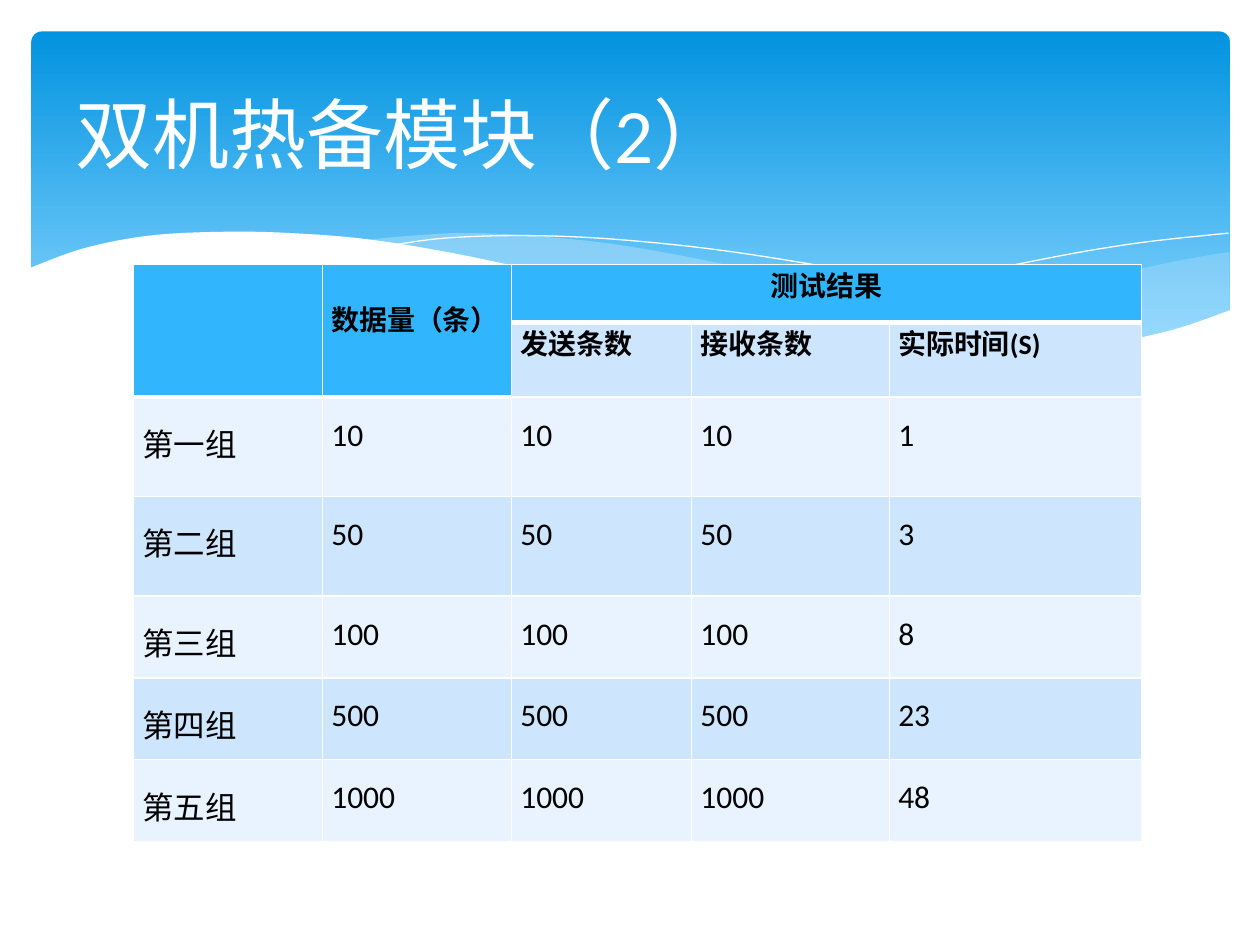
from dataclasses import dataclass
from lxml import etree
from pptx import Presentation, util as u
from pptx.dml.color import RGBColor
from pptx.enum import shapes, text
from pptx.oxml import ns


@dataclass(frozen=True)
class Theme:
    font: str = "Calibri"
    white: str = "FFFFFF"
    black: str = "000000"
    deep: str = "0293E0"
    sky: str = "83D3FE"
    mist: str = "C6E7FC"
    head: str = "31B6FD"
    bands: tuple = ("E8F3FF", "CEE5FE")
    title: int = 44
    label: int = 16
    body: int = 18


def put(obj, **vals):
    for name, val in vals.items():
        setattr(obj, name, val)


def curve(knots, steps=8):
    if len(knots) < 3:
        return list(knots)
    ends = [knots[0], *knots, knots[-1]]
    dots = [knots[0]]
    for a, b, c, d in zip(ends, ends[1:], ends[2:], ends[3:]):
        for i in range(1, steps + 1):
            t = i / steps
            dots.append(tuple(
                q + t / 2 * (r - p + t * (2 * p - 5 * q + 4 * r - s + t * (3 * (q - r) + s - p)))
                for p, q, r, s in zip(a, b, c, d)))
    return dots


class Deck:
    def __init__(self, theme, wide, high):
        self.theme = theme
        self.prs = Presentation()
        put(self.prs, slide_width=u.Inches(wide), slide_height=u.Inches(high))
        self.slide = self.prs.slides.add_slide(self.prs.slide_layouts[6])

    def paint(self, fill, tone):
        fill.solid()
        fill.fore_color.rgb = RGBColor.from_string(tone)

    def panel(self, x, y, w, h, bend):
        box = self.slide.shapes.add_shape(
            shapes.MSO_SHAPE.ROUNDED_RECTANGLE, *map(u.Inches, (x, y, w, h)))
        box.shadow.inherit = False
        box.adjustments[0] = bend
        box.line.fill.background()
        box.fill.gradient()
        box.fill.gradient_angle = 270
        tones = (0, self.theme.deep), (0.9, self.theme.sky)
        for stop, (pos, tone) in zip(box.fill.gradient_stops, tones):
            stop.position = pos
            stop.color.rgb = RGBColor.from_string(tone)

    def trace(self, *sides, close=True):
        dots = [tuple(map(u.Inches, dot)) for side in sides for dot in curve(side)]
        pen = self.slide.shapes.build_freeform(*dots[0], scale=1.0)
        pen.add_line_segments(dots[1:], close=close)
        form = pen.convert_to_shape()
        form.shadow.inherit = False
        return form

    def wave(self, *sides, tone, alpha=100):
        form = self.trace(*sides)
        form.line.fill.background()
        self.paint(form.fill, tone)
        if alpha < 100:
            color = form.element.spPr.find(ns.qn("a:solidFill"))[0]
            etree.SubElement(color, ns.qn("a:alpha"), val=str(alpha * 1000))

    def thread(self, *knots):
        form = self.trace(knots, close=False)
        form.fill.background()
        self.paint(form.line.fill, self.theme.white)
        form.line.width = u.Pt(0)

    def label(self, frame, words, size, tone, bold=False, **form):
        para = frame.paragraphs[0]
        put(para, **form)
        run = para.add_run()
        run.text = words
        put(run.font, name=self.theme.font, size=u.Pt(size), bold=bold)
        run.font.color.rgb = RGBColor.from_string(tone)

    def title(self, words, x, y, w, h):
        frame = self.slide.shapes.add_textbox(*map(u.Inches, (x, y, w, h))).text_frame
        put(frame, word_wrap=True, vertical_anchor=text.MSO_ANCHOR.MIDDLE)
        self.label(frame, words, self.theme.title, self.theme.white)

    def edges(self, cell, **widths):
        props = cell._tc.get_or_add_tcPr()
        for side, width in widths.items():
            line = etree.SubElement(props, ns.qn(f"a:ln{side}"), w=str(u.Pt(width)))
            fill = etree.SubElement(line, ns.qn("a:solidFill"))
            etree.SubElement(fill, ns.qn("a:srgbClr"), val=self.theme.white)

    def table(self, x, y, cols, rows, data, spans):
        size = map(u.Inches, (x, y, sum(cols), sum(rows)))
        grid = self.slide.shapes.add_table(len(rows), len(cols), *size).table
        put(grid, first_row=False, horz_banding=False)
        for col, width in zip(grid.columns, cols):
            col.width = u.Inches(width)
        for row, height in zip(grid.rows, rows):
            row.height = u.Inches(height)
        for first, last in spans:
            grid.cell(*first).merge(grid.cell(*last))
        for r, line in enumerate(data):
            for c, words in enumerate(line):
                self.cell(grid.cell(r, c), r, c, words)

    def cell(self, cell, r, c, words):
        look = self.theme
        head = r == 0 or (r == 1 and c < 2)
        widths = {"L": 1, "R": 1}
        if r == 0:
            widths["T"] = 1
        self.edges(cell, **widths, B=3 if head else 1)
        self.paint(cell.fill, look.head if head else look.bands[r % 2])
        drop = 0.27 if (r, c) == (0, 1) else 0
        put(cell, margin_left=u.Inches(0.07), margin_right=u.Inches(0.07),
            margin_top=u.Inches(drop), margin_bottom=0)
        if not words:
            return
        form = {"alignment": text.PP_ALIGN.CENTER if (r, c) == (0, 2) else text.PP_ALIGN.JUSTIFY}
        if r > 1:
            form["line_spacing"] = 1.5
        self.label(cell.text_frame, words, look.body if r > 1 else look.label,
                   look.black, bold=r < 2, **form)


def main():
    look = Theme()
    deck = Deck(look, 10, 7.5)
    deck.panel(0.25, 0.25, 9.51, 2.7, 0.03)
    deck.wave([(9.76, 2), (9.35, 2.07), (8.61, 2.23), (7.53, 2.48), (6.61, 2.65)],
              [(6.61, 2.65), (7.19, 2.72), (8.03, 2.78), (8.72, 2.74), (9.28, 2.63), (9.76, 2.47)],
              tone=look.mist, alpha=29)
    deck.wave([(8.93, 2.73), (8.07, 2.6), (7.06, 2.4), (6.29, 2.22), (5.41, 2.03),
               (4.65, 1.91), (3.8, 1.85), (3.28, 1.87), (2.86, 1.91)],
              [(2.86, 1.91), (3.62, 2.03), (4.49, 2.22), (5.66, 2.48), (6.65, 2.66),
               (7.48, 2.76), (8.18, 2.78), (8.93, 2.73)],
              tone=look.mist, alpha=40)
    deck.thread((3.09, 1.95), (3.53, 1.89), (4.16, 1.87), (4.89, 1.9), (5.82, 2),
                (6.95, 2.19), (7.95, 2.41), (9.07, 2.72))
    deck.thread((6.13, 2.57), (6.95, 2.35), (8.06, 2.1), (8.95, 1.94), (9.75, 1.85))
    deck.wave([(9.77, 2.46), (9.3, 2.62), (8.75, 2.73), (8.09, 2.77), (7.26, 2.72),
               (6.26, 2.58), (5.29, 2.39), (4.47, 2.2), (3.65, 2.02), (2.92, 1.9),
               (2.3, 1.85), (1.77, 1.84), (1.19, 1.87), (0.67, 1.97), (0.23, 2.13)],
              [(0.23, 3.29), (9.77, 3.29)], tone=look.white)
    deck.title("双机热备模块（2）", 0.5, 0.37, 9, 1.37)

    trials = [("第一组", 10, 1), ("第二组", 50, 3), ("第三组", 100, 8),
              ("第四组", 500, 23), ("第五组", 1000, 48)]
    data = [["", "数据量（条）", "测试结果", "", ""],
            ["", "", "发送条数", "接收条数", "实际时间(S)"]]
    data += [[name, *[str(count)] * 3, str(time)] for name, count, time in trials]
    deck.table(1.06, 2.1, [1.5, 1.5, 1.43, 1.57, 2],
               [0.46, 0.59] + [0.79] * 2 + [0.65] * 3, data,
               [((0, 0), (1, 0)), ((0, 1), (1, 1)), ((0, 2), (0, 4))])
    deck.prs.save("out.pptx")


if __name__ == "__main__":
    main()
